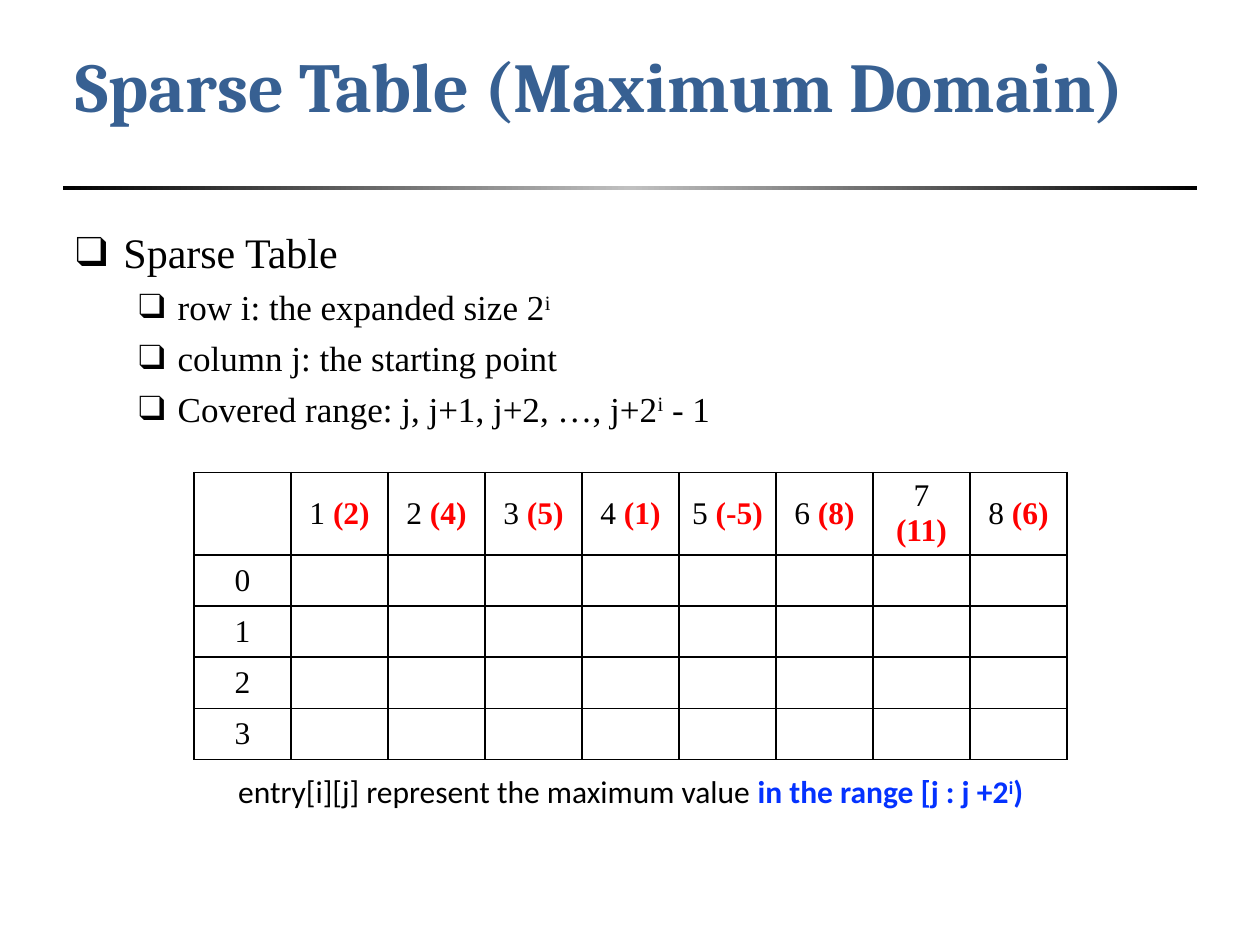
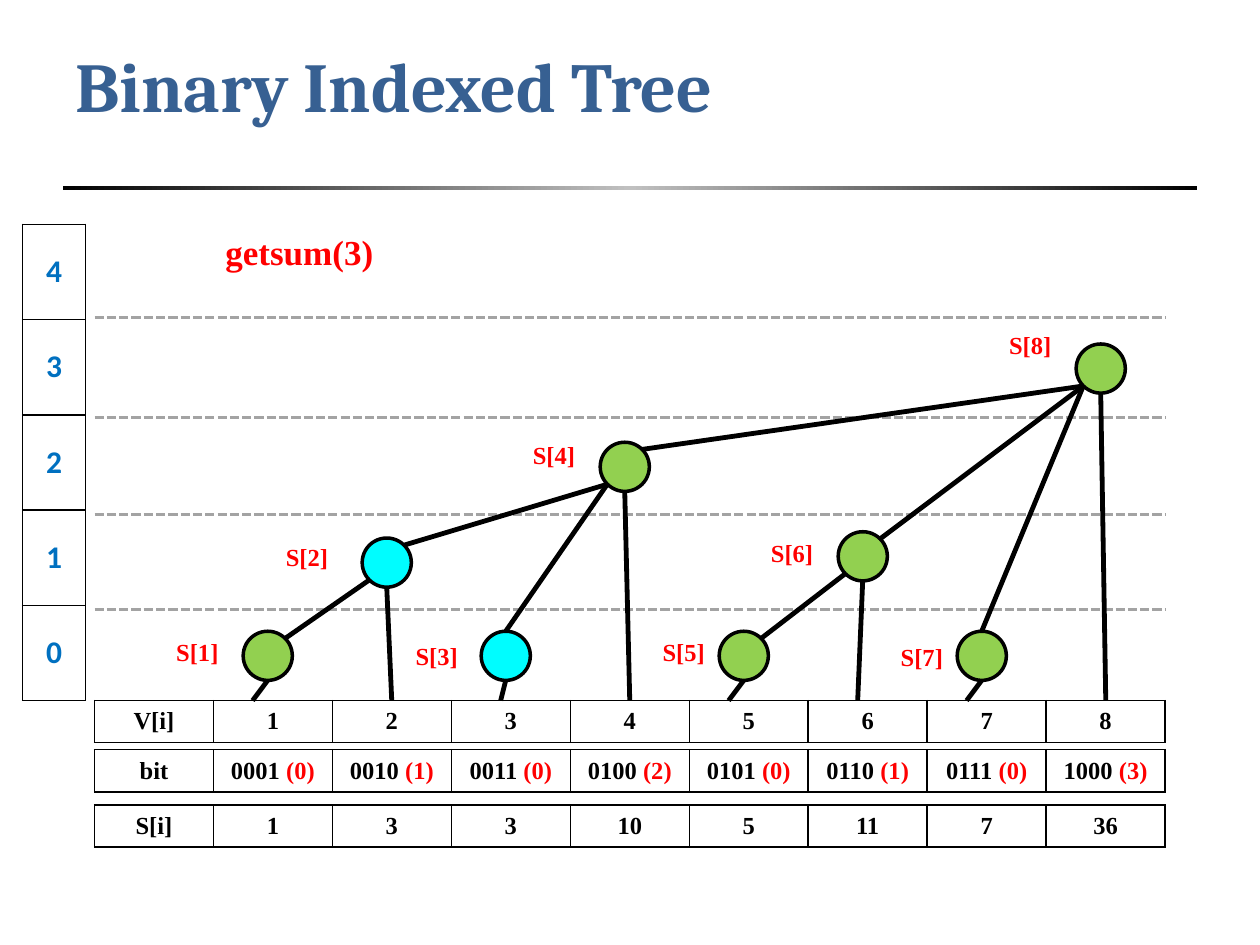
"""Build two slides on the sparse table and the binary indexed tree."""
from copy import deepcopy
from dataclasses import dataclass

from lxml import etree
from pptx import Presentation
from pptx import util as u
from pptx.dml.color import RGBColor
from pptx.enum import dml, shapes, text
from pptx.oxml.ns import qn


@dataclass(frozen=True)
class Theme:
    """Colours, fonts and type sizes shared by the slides."""
    title: str = "376092"
    ink: str = "000000"
    accent: str = "FF0000"
    range: str = "0432FF"
    level: str = "0070C0"
    guide: str = "A3A3A3"
    band_middle: str = "C0C0C0"
    plain_node: str = "92D050"
    visited_node: str = "00FDFF"
    title_face: str = "Cambria"
    serif: str = "Times New Roman"
    sans: str = "Calibri"
    title_size: int = 40
    body_size: int = 24
    sub_size: int = 20
    cell_size: int = 18
    small_size: int = 14


@dataclass(frozen=True)
class Style:
    """Font settings of one paragraph."""
    face: str
    size: int
    color: str
    bold: bool = False


@dataclass(frozen=True)
class Span:
    """A piece of text that differs from its paragraph."""
    text: str
    color: str | None = None
    bold: bool | None = None
    raised: bool = False


@dataclass(frozen=True)
class Node:
    """A tree node: top edge, shift of its stem's foot, label place, parent."""
    top: float
    foot_shift: float
    label: tuple
    parent: int | None = None
    visited: bool = False


THEME = Theme()
TITLE = Style(THEME.title_face, THEME.title_size, THEME.title, True)
BODY = Style(THEME.serif, THEME.body_size, THEME.ink)
SUB_BODY = Style(THEME.serif, THEME.sub_size, THEME.ink)
CALL = Style(THEME.serif, THEME.sub_size, THEME.accent, True)
CELL = Style(THEME.serif, THEME.cell_size, THEME.ink)
ARRAY_CELL = Style(THEME.serif, THEME.small_size, THEME.ink, True)
LEVEL_CELL = Style(THEME.sans, THEME.cell_size, THEME.level, True)
NODE_LABEL = Style(THEME.serif, THEME.small_size, THEME.accent, True)
CAPTION = Style(THEME.sans, THEME.cell_size, THEME.ink)

GRID_LEFT, GRID_WIDTH, GRID_TOP = 0.75, 8.5, 5.56
COLUMN = GRID_WIDTH / 9
NODE_SIZE = 0.39
NODES = {
    1: Node(5.01, -0.12, (1.3, 5.01), 2),
    2: Node(4.27, 0.04, (2.17, 4.25), 4, True),
    3: Node(5.01, -0.04, (3.2, 5.04), 4, True),
    4: Node(3.51, 0.04, (4.13, 3.44), 8),
    5: Node(5.01, -0.12, (5.16, 5.01), 6),
    6: Node(4.22, -0.04, (6.02, 4.22), 8),
    7: Node(5.01, -0.12, (7.05, 5.05), 8),
    8: Node(2.73, 0.04, (7.91, 2.57)),
}


def rgb(color):
    """Turn a hex string into a colour."""
    return RGBColor.from_string(color)


def inches(*lengths):
    """Turn numbers into lengths."""
    return [u.Inches(length) for length in lengths]


def write(para, spans, style, align=text.PP_ALIGN.LEFT):
    """Fill a paragraph with strings and spans."""
    para.alignment = align
    font = para.font
    font.name, font.size, font.bold = style.face, u.Pt(style.size), style.bold
    font.color.rgb = rgb(style.color)
    for part in spans:
        part = Span(part) if isinstance(part, str) else part
        span = para.add_run()
        span.text = part.text
        if part.color:
            span.font.color.rgb = rgb(part.color)
        if part.bold is not None:
            span.font.bold = part.bold
        if part.raised:
            span._r.get_or_add_rPr().set("baseline", "30000")


def place(box, left, top, width, height):
    """Move and size a shape."""
    box.left, box.top, box.width, box.height = inches(left, top, width, height)


def add_page(deck, layout, title):
    """Add a slide with the shared title and gradient rule."""
    page = deck.slides.add_slide(deck.slide_layouts[layout])
    box = page.shapes.title
    place(box, 0.5, 0.3, 9, 0.74)
    box.text_frame.auto_size = text.MSO_AUTO_SIZE.NONE
    box.text_frame.vertical_anchor = text.MSO_ANCHOR.MIDDLE
    write(box.text_frame.paragraphs[0], [title], TITLE)

    band = page.shapes.add_shape(shapes.MSO_SHAPE.RECTANGLE, *inches(0.5, 1.48, 9, 0.03))
    band.shadow.inherit = False
    band.line.fill.background()
    band.fill.gradient()
    band.fill.gradient_angle = 0
    stop_list = next(band._element.iter(qn("a:gsLst")))
    stop_list.append(deepcopy(stop_list[0]))
    colors = (THEME.ink, THEME.band_middle, THEME.ink)
    for stop, color, position in zip(band.fill.gradient_stops, colors, (0, 0.5, 1)):
        stop.color.rgb = rgb(color)
        stop.position = position
    return page


def add_bullet(para, margin, hanging):
    """Give a paragraph a square bullet and a hanging indent."""
    props = para._p.get_or_add_pPr()
    props.set("marL", str(u.Inches(margin)))
    props.set("indent", str(u.Inches(-hanging)))
    etree.SubElement(props, qn("a:buFont"), typeface=THEME.serif)
    etree.SubElement(props, qn("a:buChar"), char="❑")


def fill_body(page, heading, items):
    """Write a heading bullet and its sub-bullets in the body placeholder."""
    box = page.placeholders[1]
    place(box, 0.5, 1.75, 9, 4.95)
    frame = box.text_frame
    frame.auto_size = text.MSO_AUTO_SIZE.NONE
    para = frame.paragraphs[0]
    add_bullet(para, 0.38, 0.38)
    para.space_before = u.Pt(0)
    write(para, [heading], BODY)
    for spans in items:
        para = frame.add_paragraph()
        para.level = 1
        add_bullet(para, 0.81, 0.31)
        para.space_before = u.Pt(5)
        write(para, spans, SUB_BODY)


def add_label(page, area, spans, style, align=text.PP_ALIGN.LEFT):
    """Add a wrapping text box."""
    box = page.shapes.add_textbox(*inches(*area))
    box.text_frame.word_wrap = True
    write(box.text_frame.paragraphs[0], spans, style, align)


def add_borders(cell):
    """Draw thin lines on all sides of a cell."""
    props = cell._tc.get_or_add_tcPr()
    for side in ("lnL", "lnR", "lnT", "lnB"):
        line = etree.SubElement(props, qn(f"a:{side}"), w=str(u.Pt(1)))
        fill = etree.SubElement(line, qn("a:solidFill"))
        etree.SubElement(fill, qn("a:srgbClr"), val=THEME.ink)


def add_grid(page, area, rows, style):
    """Add a plain bordered table with centred text."""
    table = page.shapes.add_table(len(rows), len(rows[0]), *inches(*area)).table
    table.first_row = table.horz_banding = False
    for row, contents in enumerate(rows):
        for column, spans in enumerate(contents):
            cell = table.cell(row, column)
            add_borders(cell)
            cell.fill.background()
            cell.vertical_anchor = text.MSO_ANCHOR.MIDDLE
            write(cell.text_frame.paragraphs[0], spans, style, text.PP_ALIGN.CENTER)


def add_line(page, start, end, color, width):
    """Add a straight line without a shadow."""
    line = page.shapes.add_connector(shapes.MSO_CONNECTOR.STRAIGHT, *inches(*start, *end))
    line.line.color.rgb = rgb(color)
    line.line.width = u.Pt(width)
    etree.SubElement(line._element.spPr, qn("a:effectLst"))
    return line


def node_left(index):
    """Return the left edge of a node."""
    return 1.93 + (index - 1) * COLUMN


def rim(index, across, down):
    """Return a point on a node's rim in the given direction from its centre."""
    radius = NODE_SIZE / 2
    return (node_left(index) + radius * (1 + across),
            NODES[index].top + radius * (1 + down))


def add_node(page, index, node):
    """Add a tree node with its label, its stem and the edge to its parent."""
    circle = page.shapes.add_shape(
        shapes.MSO_SHAPE.OVAL, *inches(node_left(index), node.top, NODE_SIZE, NODE_SIZE))
    circle.shadow.inherit = False
    circle.fill.solid()
    circle.fill.fore_color.rgb = rgb(THEME.visited_node if node.visited else THEME.plain_node)
    circle.line.color.rgb = rgb(THEME.ink)
    circle.line.width = u.Pt(2)
    add_label(page, (*node.label, 0.55, 0.34), [f"S[{index}]"], NODE_LABEL)

    bottom = rim(index, 0, 1)
    add_line(page, bottom, (bottom[0] + node.foot_shift, GRID_TOP), THEME.ink, 2.75)
    if node.parent:
        end = rim(index, 0, -1) if index in (3, 7) else rim(index, 0.71, -0.71)
        add_line(page, rim(node.parent, -0.71, 0.71), end, THEME.ink, 2.75)


def add_sparse_table(deck):
    """Build the sparse table slide."""
    page = add_page(deck, 1, "Sparse Table (Maximum Domain)")
    power = Span("i", raised=True)
    fill_body(page, "Sparse Table", [
        ["row i: the expanded size 2", power],
        ["column j: the starting point"],
        ["Covered range: j, j+1, j+2, …, j+2", power, " - 1"],
    ])
    values = (2, 4, 5, 1, -5, 8, 11, 6)
    header = [[]] + [[f"{place_no} ", Span(f"({value})", THEME.accent, True)]
                     for place_no, value in enumerate(values, 1)]
    rows = [header] + [[[str(size)]] + [[]] * len(values) for size in range(4)]
    add_grid(page, (1.54, 3.75, 6.93, 2.03), rows, CELL)
    add_label(page, (1.54, 6.08, 6.93, 0.4), [
        "entry[i][j] represent the maximum value ",
        Span("in the range [j : j +2", THEME.range, True),
        Span("i", THEME.range, True, True),
        Span(")", THEME.range, True),
    ], CAPTION, text.PP_ALIGN.CENTER)


def add_indexed_tree(deck):
    """Build the binary indexed tree slide."""
    page = add_page(deck, 5, "Binary Indexed Tree")
    add_grid(page, (0.18, 1.78, 0.5, 3.78), [[[str(level)]] for level in range(4, -1, -1)],
             LEVEL_CELL)
    for height in (2.52, 3.31, 4.08, 4.84):
        guide = add_line(page, (GRID_LEFT, height), (GRID_LEFT + GRID_WIDTH, height),
                         THEME.guide, 1.75)
        guide.line.dash_style = dml.MSO_LINE.SQUARE_DOT
    for index, node in NODES.items():
        add_node(page, index, node)
    add_label(page, (1.69, 1.78, 5.58, 0.44), ["getsum(3)"], CALL)

    bits = [[f"{index:04b} ", Span(f"({(index & -index).bit_length() - 1})", THEME.accent)]
            for index in NODES]
    arrays = (
        (GRID_TOP, "V[i]", [[str(index)] for index in NODES]),
        (5.95, "bit", bits),
        (6.39, "S[i]", [[str(total)] for total in (1, 3, 3, 10, 5, 11, 7, 36)]),
    )
    for top, name, cells in arrays:
        add_grid(page, (GRID_LEFT, top, GRID_WIDTH, 0.31), [[[name]] + cells], ARRAY_CELL)


def main():
    """Build and save the deck."""
    deck = Presentation()
    deck.slide_width, deck.slide_height = inches(10, 7.5)
    add_sparse_table(deck)
    add_indexed_tree(deck)
    deck.save("out.pptx")


if __name__ == "__main__":
    main()
